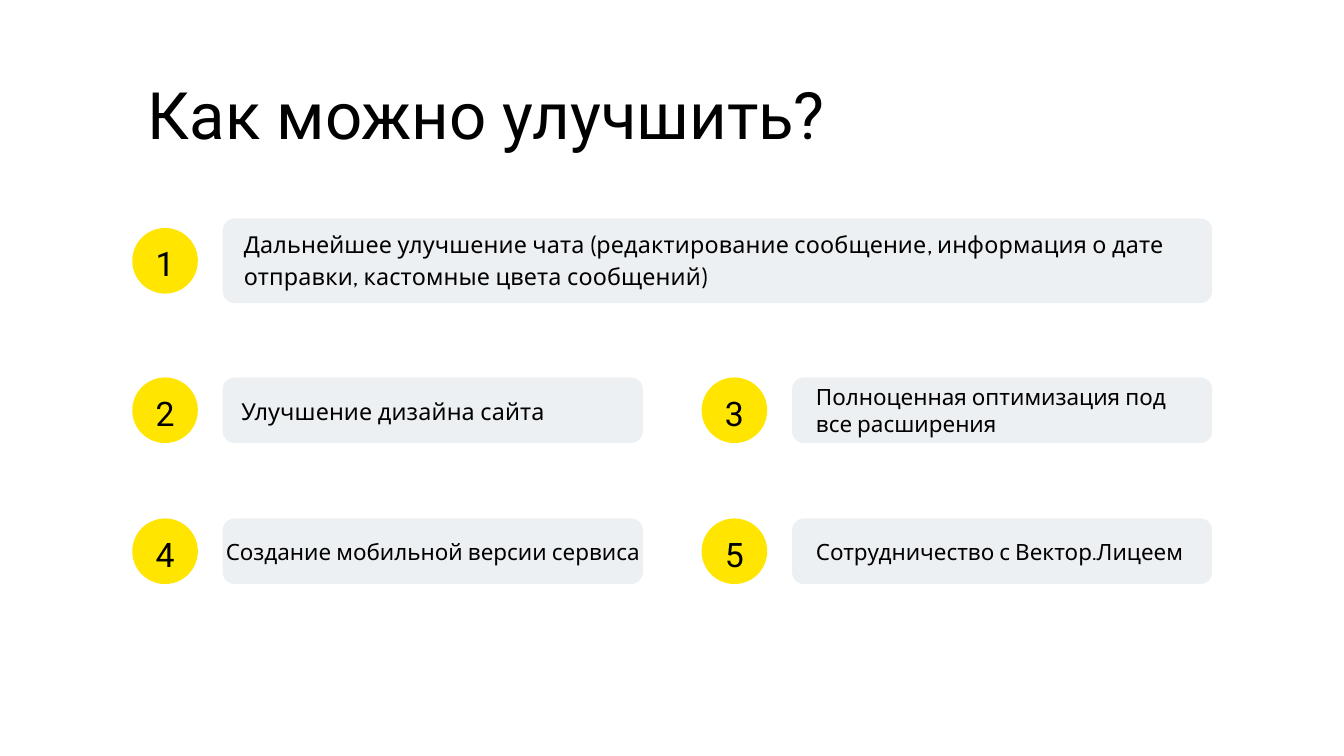
from pptx import Presentation
from pptx import util as u
from pptx.dml.color import RGBColor
from pptx.enum import shapes, text

COLORS = {"ink": "000000", "badge": "FFE500", "card": "EDF0F2"}
COLUMNS = (5, 26.52)
ROWS = (8.26, 14.27, 19.6)
BADGE = 2.48
CARD_OFFSET = 3.42
CARD_WIDTH = 15.88
WIDE_CARD = COLUMNS[1] - COLUMNS[0] + CARD_WIDTH
CARD_RADIUS = 0.45


class SlideBuilder:
    """Holds the slide and its style; all lengths are in centimetres."""

    heading_font = "Roboto"
    body_font = "Cabin"

    def __init__(self, page):
        self.page = page

    def shape(self, kind, color, left, top, width, height):
        shape = self.page.shapes.add_shape(
            kind, u.Cm(left), u.Cm(top), u.Cm(width), u.Cm(height))
        shape.shadow.inherit = False
        shape.fill.solid()
        shape.fill.fore_color.rgb = RGBColor.from_string(COLORS[color])
        shape.line.fill.background()
        return shape

    def label(self, words, left, top, width, height, size, leading,
              font=body_font, centered=False, tracking=0):
        """Add text with exact line spacing; tracking is in points."""
        box = self.page.shapes.add_textbox(
            u.Cm(left), u.Cm(top), u.Cm(width), u.Cm(height))
        frame = box.text_frame
        frame.word_wrap = True
        frame.auto_size = text.MSO_AUTO_SIZE.SHAPE_TO_FIT_TEXT
        frame.margin_left = frame.margin_right = 0
        frame.margin_top = frame.margin_bottom = 0
        para = frame.paragraphs[0]
        para.alignment = text.PP_ALIGN.CENTER if centered else text.PP_ALIGN.LEFT
        para.line_spacing = u.Pt(leading)
        para.font.name = font
        para.font.size = u.Pt(size)
        para.font.color.rgb = RGBColor.from_string(COLORS["ink"])
        span = para.add_run()
        span.text = words
        if tracking:
            span._r.get_or_add_rPr().set("spc", str(round(tracking * 100)))

    def title(self, words):
        self.label(words, 5.59, 3.05, 35.26, 2.77, 70, 77, self.heading_font)

    def badge(self, number, left, top):
        self.shape(shapes.MSO_SHAPE.OVAL, "badge", left, top, BADGE, BADGE)
        self.label(str(number), left + 0.5, top + 0.31, 1.48, 1.7, 36.2, 50.7,
                   self.heading_font, centered=True)

    def card(self, left, top, width, height):
        card = self.shape(shapes.MSO_SHAPE.ROUNDED_RECTANGLE, "card",
                          left, top, width, height)
        card.adjustments[0] = CARD_RADIUS / height

    def idea(self, number, column, row, width=CARD_WIDTH, height=BADGE):
        """Add a numbered badge centred beside an empty card."""
        left, top = COLUMNS[column], ROWS[row]
        self.badge(number, left, top + (height - BADGE) / 2)
        self.card(left + CARD_OFFSET, top, width, height)


def main():
    deck = Presentation()
    deck.slide_width, deck.slide_height = u.Cm(50.8), u.Cm(28.58)
    slide = SlideBuilder(deck.slides.add_slide(deck.slide_layouts[6]))

    slide.title("Как можно улучшить?")
    slide.idea(1, 0, 0, WIDE_CARD, 3.2)
    for number in range(2, 6):
        slide.idea(number, column=number % 2, row=number // 2)

    spaced = {"size": 25, "leading": 35, "tracking": 0.2}
    compact = {"size": 24, "leading": 28.8}
    slide.label("Дальнейшее улучшение чата (редактирование сообщение, информация "
                "о дате отправки, кастомные цвета сообщений)",
                9.22, 8.51, 35.79, 2.44, **spaced)
    slide.label("Улучшение дизайна сайта", 9.12, 14.83, 13.74, 1.22, **spaced)
    slide.label("Полноценная оптимизация под все расширения",
                30.84, 14.5, 13.74, 2.01, **compact)
    slide.label("Создание мобильной версии сервиса",
                COLUMNS[0] + CARD_OFFSET, 20.35, CARD_WIDTH, 1.02,
                centered=True, **compact)
    slide.label("Сотрудничество с Вектор.Лицеем",
                30.84, 20.35, 14.81, 1.02, **compact)

    deck.save("out.pptx")


if __name__ == "__main__":
    main()
